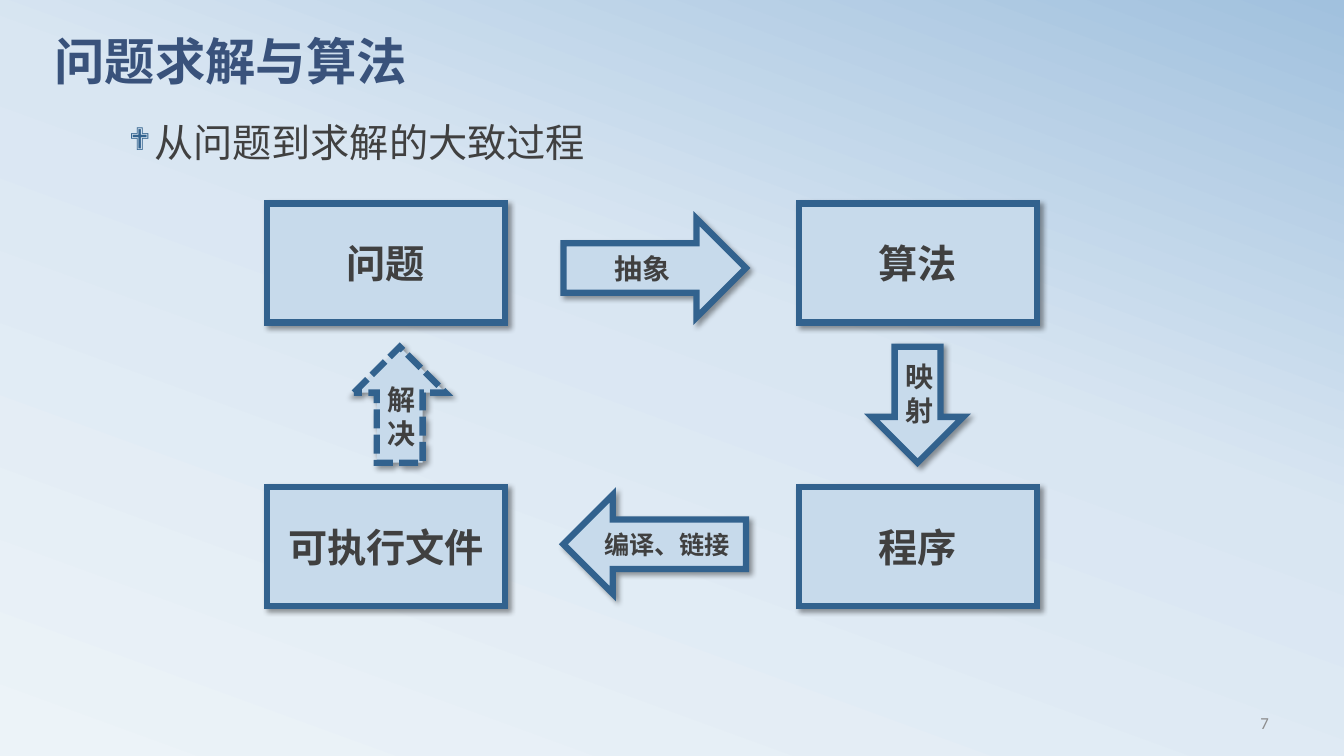
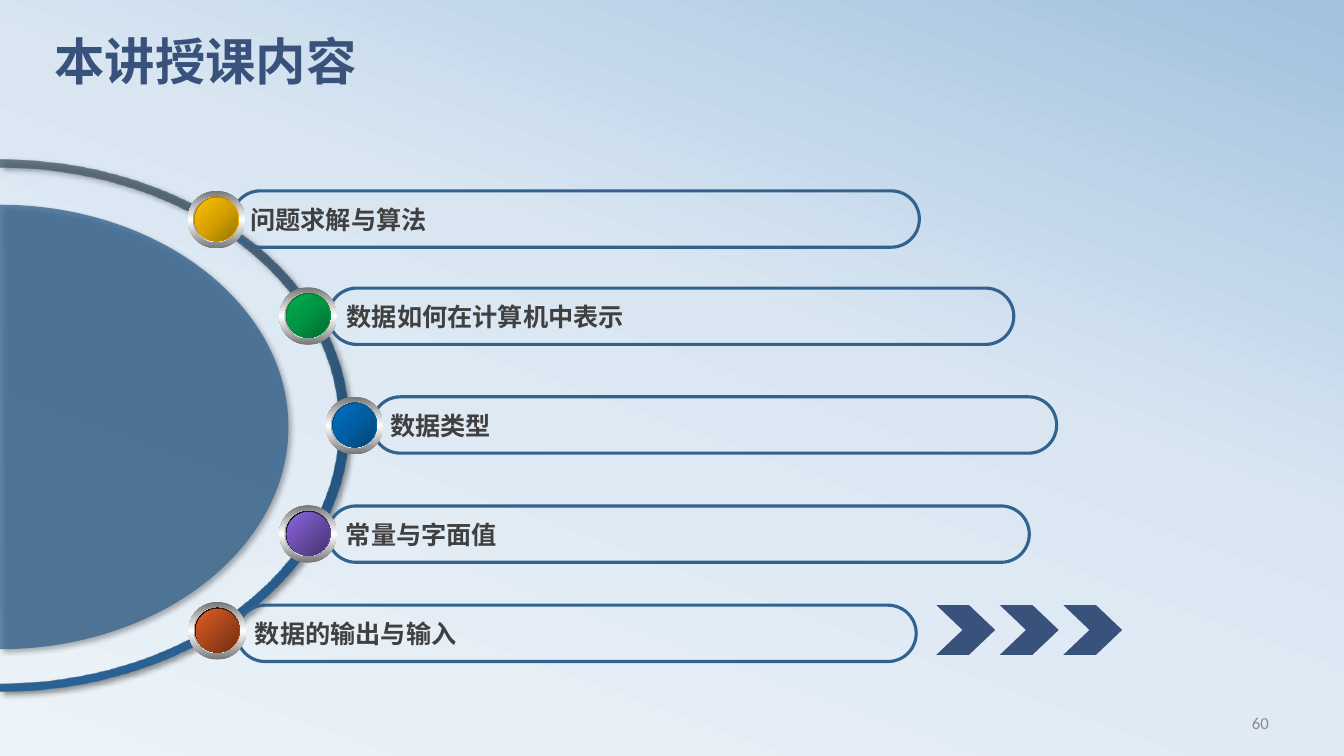
from lxml.etree import SubElement as Sub
from pptx import Presentation
from pptx.dml.color import RGBColor as Rgb
from pptx.enum.dml import MSO_LINE as Dash
from pptx.enum.shapes import MSO_SHAPE as Kind
from pptx.enum.text import MSO_ANCHOR as Anchor, PP_ALIGN as Align
from pptx.oxml.ns import qn
from pptx.util import Cm, Pt

# Shared look
HUE = {"navy": "39527B", "blue": "32628E", "pale": "C7DAEB",
       "text": "404040", "gray": "8C8C8C"}
BACK = [(0, "ECF3F8"), (58, "D9E6F2"), (100, "A1C1DE")]
CJK = "Noto Sans CJK SC"
FONT = {
    "title": {"size": Pt(36), "bold": True, "name": "Calibri"},
    "page": {"size": Pt(12), "bold": False, "name": "Calibri"},
    "lead": {"size": Pt(28), "bold": False, "name": CJK},
    "box": {"size": Pt(28), "bold": True, "name": CJK},
    "arrow": {"size": Pt(20), "bold": True, "name": CJK},
    "item": {"size": Pt(18), "bold": True, "name": CJK},
}

# Slide 1 content, lengths in cm
FLOW = {"title": "问题求解与算法", "page": "7", "lead": "从问题到求解的大致过程"}
COLS, ROWS = (6.73, 20.14), (5.13, 12.27)
BOXES = [["问题", "算法"], ["可执行文件", "程序"]]
ARROWS = [
    ("抽象", Kind.RIGHT_ARROW, (14.2, 5.51, 4.6, 2.49), "arrow", None),
    ("映射", Kind.DOWN_ARROW, (21.97, 8.74, 2.31, 2.92), "arrow", None),
    ("编译、链接", Kind.LEFT_ARROW, (14.2, 12.47, 4.6, 2.49), "item", None),
    ("解决", Kind.UP_ARROW, (8.92, 8.74, 2.31, 2.92), "arrow",
     Dash.SQUARE_DOT),
]

# Slide 2 content: text, bar (x, y, width), knob (x, y), rim, core, core angle
PLAN = {"title": "本讲授课内容", "page": "60"}
GOLD = [(0, "977200"), (50, "D7A200"), (100, "FFC000")]
GREEN = [(0, "00682F"), (50, "009443"), (100, "00B050")]
AZURE = [(0, "004272"), (50, "005EA2"), (100, "0070C0")]
ITEMS = [
    ("常量与字面值", (8.26, 12.75, 17.68), (7.04, 12.73),
     [(0, "000000"), (100, "8D67E1")], [(0, "8D67E1"), (100, "45326D")], 45),
    ("数据如何在计算机中表示", (8.28, 7.26, 17.27), (7.04, 7.24),
     GREEN, GREEN, None),
    ("问题求解与算法", (5.85, 4.81, 17.32), (4.73, 4.81), GOLD, GOLD, None),
    ("数据类型", (9.38, 10, 17.25), (8.21, 10), AZURE, AZURE, None),
    ("数据的输出与输入", (5.97, 15.25, 17.12), (4.75, 15.17),
     [(0, "000000"), (100, "E35E23")], [(0, "E35E23"), (100, "6E2E11")], 45),
]
STEEL = [(0, "767676"), (50, "FFFFFF"), (100, "767676")]
SILVER = [(0, "A2A2A2"), (50, "FFFFFF"), (100, "A2A2A2")]
LAYERS = [(0, 0, 1.45, 1.45), (0.13, 0.15, 1.17, 1.14),
          (0.17, 0.15, 1.12, 1.12), (0.19, 0.18, 1.07, 1.09)]
BAND = [(0, "445462", 75), (50, "24537D"), (100, "2B6295")]


def color(name):
    return Rgb.from_string(HUE[name])


def shade(fill, root, stops, angle):
    """Gradient along an angle, or round the lower right corner if None."""
    fill.gradient()
    grad = root.find(".//" + qn("a:gradFill"))
    grad.clear()
    grad.set("rotWithShape", "1")
    group = Sub(grad, qn("a:gsLst"))
    for pos, tone, *alpha in stops:
        stop = Sub(group, qn("a:gs"), pos=str(pos * 1000))
        node = Sub(stop, qn("a:srgbClr"), val=tone)
        for part in alpha:
            Sub(node, qn("a:alpha"), val=str(part * 1000))
    if angle is None:
        ring = Sub(grad, qn("a:path"), path="circle")
        Sub(ring, qn("a:fillToRect"), l="100000", t="100000")
    else:
        Sub(grad, qn("a:lin"), ang=str(angle * 60000), scaled="0")


def drop(shape):
    """Soft shadow to the lower right."""
    shape.shadow.inherit = False
    node = shape.element.find(".//" + qn("a:effectLst"))
    cast = Sub(node, qn("a:outerShdw"), blurRad=str(Pt(4)), dist=str(Pt(3)),
               dir="2700000", algn="tl", rotWithShape="0")
    tone = Sub(cast, qn("a:srgbClr"), val="000000")
    Sub(tone, qn("a:alpha"), val="40000")


def write(shape, text, style, tone="text", align=Align.LEFT,
          anchor=Anchor.MIDDLE):
    frame = shape.text_frame
    frame.word_wrap = True
    frame.vertical_anchor = anchor
    para = frame.paragraphs[0]
    para.alignment = align
    run = para.add_run()
    run.text = text
    for key, value in FONT[style].items():
        setattr(run.font, key, value)
    run.font.color.rgb = color(tone)
    Sub(run.font._element, qn("a:ea"), typeface=CJK)
    return para


def label(slide, spot, *args, **more):
    return write(slide.shapes.add_textbox(*map(Cm, spot)), *args, **more)


def draw(slide, kind, spot, fill=None, line=None, width=0):
    shape = slide.shapes.add_shape(kind, *map(Cm, spot))
    shape.shadow.inherit = False
    if fill:
        shape.fill.solid()
        shape.fill.fore_color.rgb = color(fill)
    else:
        shape.fill.background()
    if line:
        shape.line.color.rgb = color(line)
        shape.line.width = Pt(width)
    else:
        shape.line.fill.background()
    return shape


def start(deck, data):
    slide = deck.slides.add_slide(deck.slide_layouts[6])
    label(slide, (24.33, 17.7, 7.9, 1.02), data["page"], "page", "gray",
          Align.RIGHT)
    para = label(slide, (1.12, 0.92, 30.48, 2.39), data["title"], "title",
                 "navy", anchor=Anchor.TOP)
    para.line_spacing = 0.8
    return slide


def arc(mid, wide, high):
    """Right half of an ellipse on the left slide edge, as two curves."""
    bend = 0.55
    unit = [(0, -1), (bend, -1), (1, -bend), (1, 0),
            (1, bend), (bend, 1), (0, 1)]
    return [(Cm(wide * x), Cm(mid + high * y)) for x, y in unit]


def outline(slide, *arcs):
    """Closed shape: curves along each arc, straight lines between arcs."""
    points = sum(arcs, [])
    form = slide.shapes.build_freeform(*points[0])
    form.add_line_segments(points[1:], close=True)
    shape = form.convert_to_shape()
    steps = list(shape.element.iter(qn("a:lnTo")))
    for i in range(len(arcs)):
        for j in (7 * i, 7 * i + 3):
            first, *rest = steps[j:j + 3]
            curve = Sub(first.getparent(), qn("a:cubicBezTo"))
            first.addprevious(curve)
            for step in (first, *rest):
                curve.append(step[0])
                step.getparent().remove(step)
    shape.line.fill.background()
    drop(shape)
    return shape


def flow(deck):
    slide = start(deck, FLOW)

    # Bulleted lead
    para = label(slide, (3, 3, 22.81, 1.73), FLOW["lead"], "lead",
                 anchor=Anchor.TOP)
    para.line_spacing, para.space_before = 0.9, Pt(18)
    props = para._p.get_or_add_pPr()
    props.set("marL", str(Cm(0.64)))
    props.set("indent", str(-Cm(0.64)))
    Sub(Sub(props, qn("a:buClr")), qn("a:srgbClr"), val=HUE["blue"])
    Sub(props, qn("a:buSzPct"), val="80000")
    Sub(props, qn("a:buFont"), typeface="Wingdings", charset="2")
    Sub(props, qn("a:buChar"), char="❖")

    # Boxes and arrows
    parts = [(text, Kind.RECTANGLE, (x, y, 5.99, 3), "box", None)
             for y, row in zip(ROWS, BOXES) for x, text in zip(COLS, row)]
    for text, kind, spot, style, dash in parts + ARROWS:
        shape = draw(slide, kind, spot, "pale", "blue", 4.5)
        drop(shape)
        if dash:
            shape.line.dash_style = dash
        edge = shape.element.spPr.find(qn("a:ln"))
        Sub(edge, qn("a:miter"), lim="800000")
        frame = shape.text_frame
        upright = kind in (Kind.UP_ARROW, Kind.DOWN_ARROW)
        frame.margin_left = Cm(0.1 if upright else 0)
        frame.margin_right = 0
        write(shape, text, style, align=Align.CENTER)


def plan(deck):
    slide = start(deck, PLAN)

    # Curved band and disc
    band = outline(slide, arc(10.72, 8.53, 6.5),
                   arc(10.72, 8.79, 6.71)[::-1])
    shade(band.fill, band.element, BAND, 90)
    disc = outline(slide, arc(10.76, 7.27, 5.6))
    disc.fill.solid()
    disc.fill.fore_color.rgb = color("blue")
    tone = disc.element.spPr.find(qn("a:solidFill")).find(qn("a:srgbClr"))
    Sub(tone, qn("a:alpha"), val="75000")

    # Chevrons
    for i in range(3):
        spot = (23.6 + 1.6 * i, 15.25, 1.48, 1.25)
        draw(slide, Kind.CHEVRON, spot, "navy").adjustments[0] = 0.525

    # Bars with knobs
    for text, (x, y, wide), (left, top), rim, core, angle in ITEMS:
        bar = draw(slide, Kind.ROUNDED_RECTANGLE, (x, y, wide, 1.42),
                   line="blue", width=2.25)
        bar.adjustments[0] = 0.5
        write(bar, text, "item")
        looks = [(STEEL, 90), (SILVER, 0), (rim, 45), (core, angle)]
        for (dx, dy, w, h), (stops, turn) in zip(LAYERS, looks):
            knob = draw(slide, Kind.OVAL, (left + dx, top + dy, w, h))
            shade(knob.fill, knob.element, stops, turn)


def main():
    deck = Presentation()
    deck.slide_width, deck.slide_height = Cm(33.87), Cm(19.05)
    master = deck.slide_master
    shade(master.background.fill, master.element, BACK, 290)
    flow(deck)
    plan(deck)
    deck.save("out.pptx")


if __name__ == "__main__":
    main()
